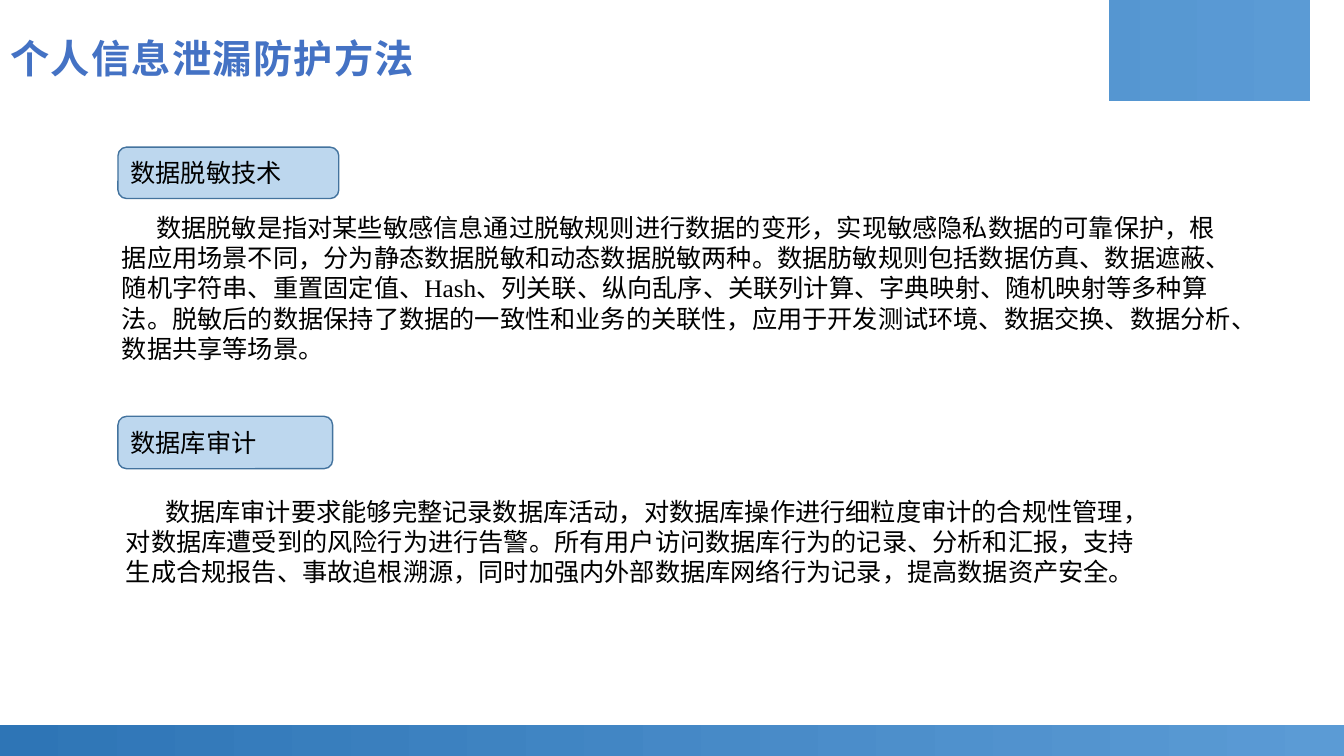
import pptx
import pptx.util
import pptx.dml.color
import pptx.enum.shapes
import pptx.enum.text
import lxml.etree

RGB = pptx.dml.color.RGBColor
DARK = RGB(0x2E, 0x75, 0xB6)
LIGHT = RGB(0x5B, 0x9B, 0xD5)
TITLE = RGB(0x44, 0x72, 0xC4)
LABEL = RGB(0xBD, 0xD7, 0xEE)
EDGE = RGB(0x43, 0x73, 0x9E)
BLACK = RGB(0, 0, 0)
WIDE, HIGH = 13.33, 7.5
BAND = 0.31
HAN = "Noto Sans CJK SC"
SANS = "DejaVu Sans"
SERIF = "Times New Roman"
ROUND = pptx.enum.shapes.MSO_SHAPE.ROUNDED_RECTANGLE
RECT = pptx.enum.shapes.MSO_SHAPE.RECTANGLE
INCH = pptx.util.Inches

TOPICS = [
    ("数据脱敏技术", (1.17, 1.46, 2.19, 0.51),
     "数据脱敏是指对某些敏感信息通过脱敏规则进行数据的变形，实现敏感隐私数据的可靠保护，"
     "根据应用场景不同，分为静态数据脱敏和动态数据脱敏两种。数据肪敏规则包括数据仿真、"
     "数据遮蔽、随机字符串、重置固定值、Hash、列关联、纵向乱序、关联列计算、字典映射、"
     "随机映射等多种算法。脱敏后的数据保持了数据的一致性和业务的关联性，应用于开发测试环境、"
     "数据交换、数据分析、数据共享等场景。", (1, 1.71, 11.43, 2.29), 0.34),
    ("数据库审计", (1.17, 4.13, 2.13, 0.52),
     "数据库审计要求能够完整记录数据库活动，对数据库操作进行细粒度审计的合规性管理，"
     "对数据库遭受到的风险行为进行告警。所有用户访问数据库行为的记录、分析和汇报，"
     "支持生成合规报告、事故追根溯源，同时加强内外部数据库网络行为记录，提高数据资产安全。",
     (1.07, 4.55, 10.54, 1.64), 0.39),
]


def shade(shape):
    shape.shadow.inherit = False
    shape.line.fill.background()
    shape.fill.gradient()
    shape.fill.gradient_angle = 0
    for stop, color in zip(shape.fill.gradient_stops, (DARK, LIGHT)):
        stop.color.rgb = color


def curve(a, b, c, d, steps=24):
    for i in range(1, steps + 1):
        t = i / steps
        u = 1 - t
        yield tuple(u**3 * p + 3 * u * u * t * q + 3 * u * t * t * r + t**3 * s
                    for p, q, r, s in zip(a, b, c, d))


def frame(slide):
    foot = slide.shapes.add_shape(
        RECT, 0, INCH(HIGH - BAND), INCH(WIDE), INCH(BAND))
    shade(foot)
    low, bend = (11.1, 0.78), (10.32, BAND)
    points = [(WIDE, 0), (WIDE, 0.79), (11.16, 0.79), low]
    points += curve(low, (10.6, 0.7), (10.67, 0.35), bend)
    points += curve(bend, (9.97, 0.28), (3.44, BAND), (0, BAND))
    path = slide.shapes.build_freeform(0, 0, scale=INCH(1))
    path.add_line_segments(points, close=True)
    shade(path.convert_to_shape())


def head(slide, box, words):
    title = slide.shapes.title
    title.left, title.top, title.width, title.height = map(INCH, box)
    text = title.text_frame
    text.word_wrap = True
    text.auto_size = pptx.enum.text.MSO_AUTO_SIZE.NONE
    text.vertical_anchor = pptx.enum.text.MSO_ANCHOR.BOTTOM
    text.margin_bottom = 0
    para = text.paragraphs[0]
    para.alignment = pptx.enum.text.PP_ALIGN.LEFT
    para.line_spacing = 0.9
    run = write(para, words, HAN, 28, TITLE)
    run.font.bold = True
    props = run.font._element
    props.set("spc", "100")
    east = lxml.etree.Element(pptx.oxml.ns.qn("a:ea"), typeface=HAN)
    props.find(pptx.oxml.ns.qn("a:latin")).addnext(east)


def write(para, words, face, size, color):
    run = para.add_run()
    run.text = words
    run.font.name = face
    run.font.size = pptx.util.Pt(size)
    run.font.color.rgb = color
    return run


def panel(slide, box, words, face, indent=0):
    shape = slide.shapes.add_shape(ROUND, *map(INCH, box))
    shape.shadow.inherit = False
    shape.fill.background()
    shape.line.fill.background()
    text = shape.text_frame
    text.word_wrap = True
    text.vertical_anchor = pptx.enum.text.MSO_ANCHOR.MIDDLE
    para = text.paragraphs[0]
    para.alignment = pptx.enum.text.PP_ALIGN.LEFT
    if indent:
        para._p.get_or_add_pPr().set("indent", str(INCH(indent)))
    write(para, words, face, 18, BLACK)
    return shape


def topic(slide, name, tag, words, box, indent):
    panel(slide, box, words, SERIF, indent)
    label = panel(slide, tag, name, SANS)
    label.fill.solid()
    label.fill.fore_color.rgb = LABEL
    label.line.color.rgb = EDGE
    label.line.width = pptx.util.Pt(1)


def main():
    deck = pptx.Presentation()
    deck.slide_width, deck.slide_height = INCH(WIDE), INCH(HIGH)
    slide = deck.slides.add_slide(deck.slide_layouts[5])
    frame(slide)
    head(slide, (0, 0.24, 7.62, 0.57), "个人信息泄漏防护方法")
    for item in TOPICS:
        topic(slide, *item)
    deck.save("out.pptx")


if __name__ == "__main__":
    main()
